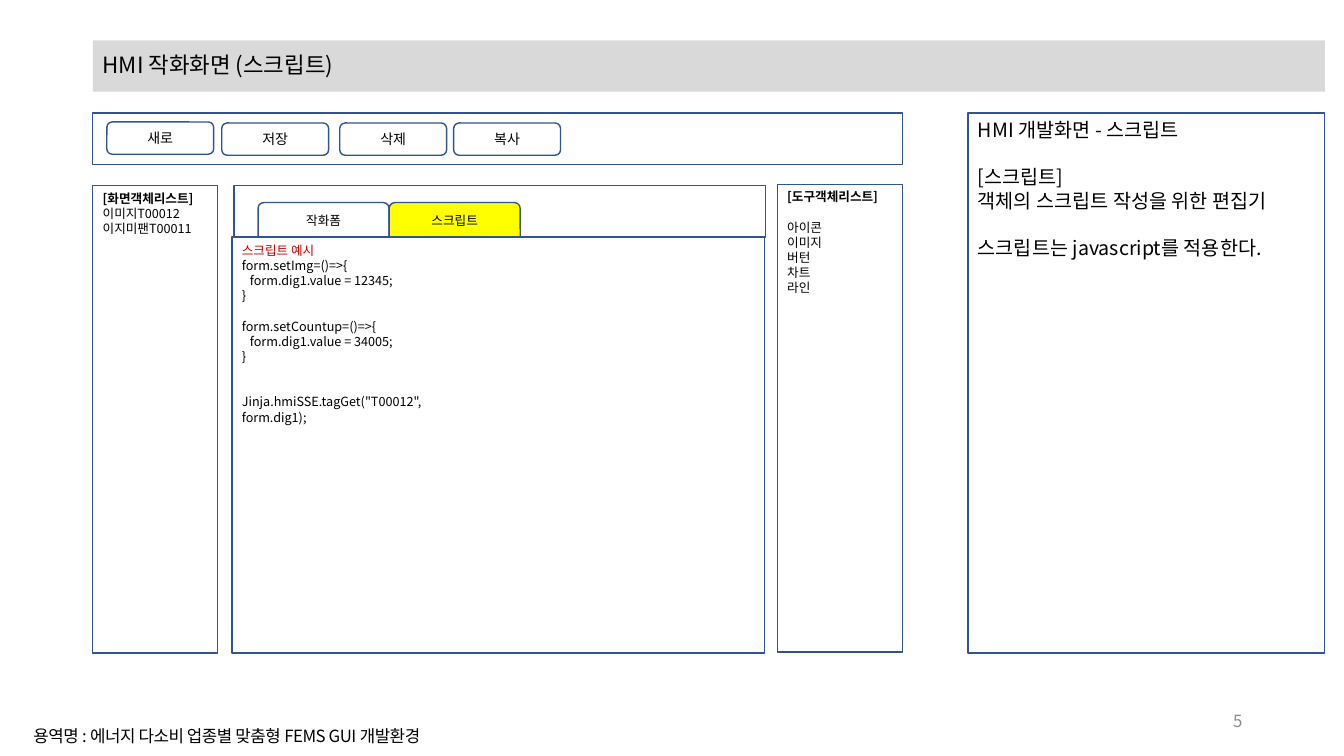
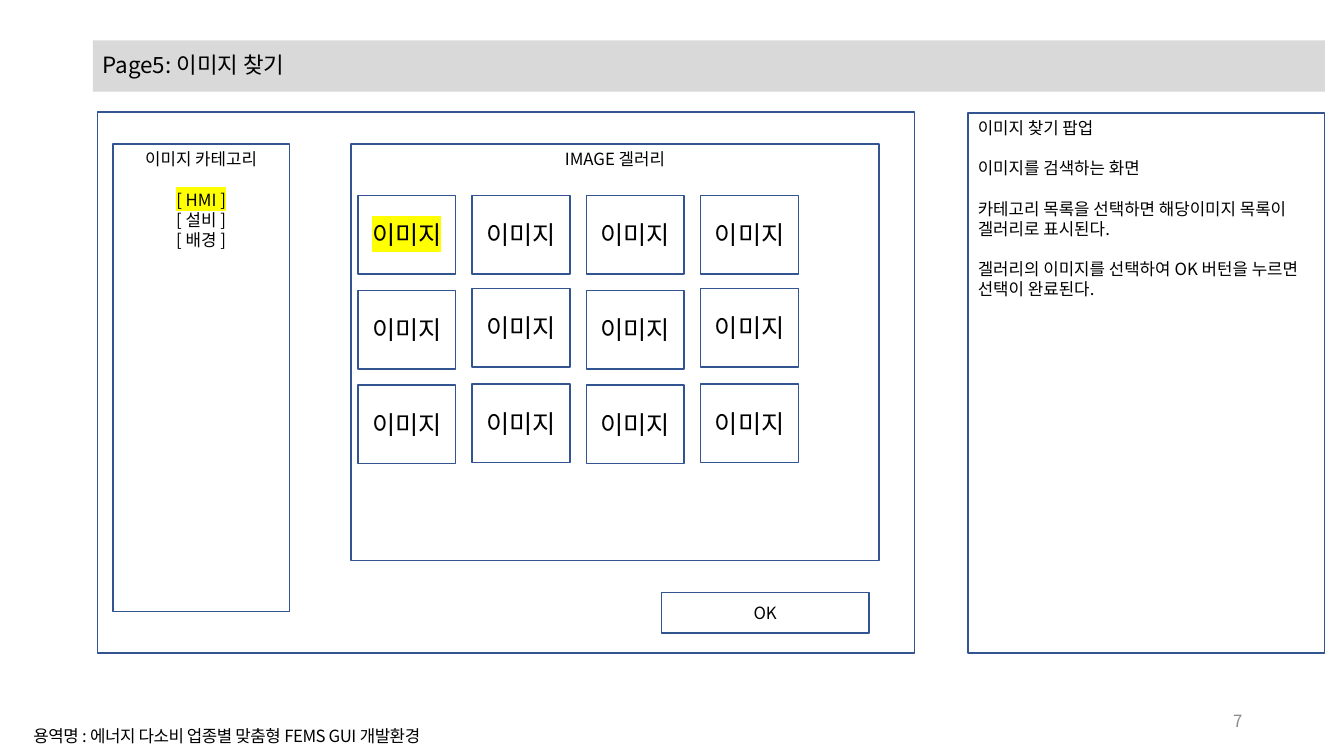
from dataclasses import dataclass
from lxml.etree import SubElement
from pptx import Presentation
from pptx.dml.color import RGBColor
from pptx.enum.shapes import MSO_SHAPE
from pptx.enum.text import MSO_ANCHOR, PP_ALIGN
from pptx.oxml.ns import qn
from pptx.util import Inches, Pt


@dataclass(frozen=True)
class Theme:
    font: str = "Noto Sans CJK KR"
    ink: str = "000000"
    line: str = "325491"
    band: str = "D9D9D9"
    mark: str = "FFFF00"
    muted: str = "8C8C8C"
    accent: str = "C00000"
    title: int = 16
    thumb: int = 18
    note: int = 14
    body: int = 12
    button: int = 10
    small: int = 9


T = Theme()
LEFT, CENTER, RIGHT = PP_ALIGN.LEFT, PP_ALIGN.CENTER, PP_ALIGN.RIGHT
TOP, MIDDLE = MSO_ANCHOR.TOP, MSO_ANCHOR.MIDDLE
RECT, ROUND, TAB = (MSO_SHAPE.RECTANGLE, MSO_SHAPE.ROUNDED_RECTANGLE,
                    MSO_SHAPE.ROUND_2_SAME_RECTANGLE)


def write(sp, lines, size, align=LEFT, anchor=TOP, color=T.ink, spacing=1.0):
    """Each line is a string or (string, options); gap counts blank lines above."""
    tf = sp.text_frame
    tf.word_wrap = True
    tf.vertical_anchor = anchor
    for i, line in enumerate(lines):
        text, opt = (line, {}) if isinstance(line, str) else line
        p = tf.paragraphs[0] if i == 0 else tf.add_paragraph()
        p.alignment = align
        p.line_spacing = spacing
        p.space_before = Pt(1.2 * size * opt.get("gap", 0))
        if "indent" in opt:
            p._p.get_or_add_pPr().set("marL", str(Inches(opt["indent"])))
        r = p.add_run()
        r.text = text
        r.font.size = Pt(size)
        r.font.bold = opt.get("bold", False)
        r.font.color.rgb = RGBColor.from_string(opt.get("color", color))
        rPr = r._r.get_or_add_rPr()
        if "mark" in opt:
            highlight = SubElement(rPr, qn("a:highlight"))
            SubElement(highlight, qn("a:srgbClr")).set("val", opt["mark"])
        if "track" in opt:
            rPr.set("spc", str(opt["track"]))
        r.font.name = T.font
        SubElement(rPr, qn("a:ea")).set("typeface", T.font)


def box(s, at, kind=RECT, fill=None, line=T.line):
    sp = s.shapes.add_shape(kind, *[Inches(v) for v in at])
    sp.shadow.inherit = False
    if fill:
        sp.fill.solid()
        sp.fill.fore_color.rgb = RGBColor.from_string(fill)
    else:
        sp.fill.background()
    if line:
        sp.line.color.rgb = RGBColor.from_string(line)
        sp.line.width = Pt(1)
    else:
        sp.line.fill.background()
    return sp


prs = Presentation()
prs.slide_width, prs.slide_height = Inches(13.33), Inches(7.5)

# Shared frame: title band, description panel, page number, footer
pages = [
    ("HMI 작화화면 (스크립트)", "5", T.note, [
        "HMI 개발화면 - 스크립트",
        ("[스크립트]", {"gap": 1}),
        "객체의 스크립트 작성을 위한 편집기",
        ("스크립트는 javascript를 적용한다.", {"gap": 1})]),
    ("Page5: 이미지 찾기", "7", T.body, [
        "이미지 찾기 팝업",
        ("이미지를 검색하는 화면", {"gap": 1}),
        ("카테고리 목록을 선택하면 해당이미지 목록이 겔러리로 표시된다.", {"gap": 1}),
        ("겔러리의 이미지를 선택하여 OK 버턴을 누르면 선택이 완료된다.", {"gap": 1})]),
]
slides = []
for title, number, size, notes in pages:
    s = prs.slides.add_slide(prs.slide_layouts[6])
    slides.append(s)
    write(box(s, (0.92, 0.4, 12.22, 0.51), fill=T.band, line=None),
          [title], T.title, anchor=MIDDLE, spacing=0.9)
    write(box(s, (9.6, 1.12, 3.54, 5.36)), notes, size)
    sp = s.shapes.add_textbox(Inches(9.42), Inches(6.95), Inches(3), Inches(0.4))
    write(sp, [number], T.body, RIGHT, MIDDLE, T.muted)
    sp = s.shapes.add_textbox(Inches(0), Inches(7.1), Inches(4.5), Inches(0.4))
    write(sp, [("용역명 : 에너지 다소비 업종별 맞춤형 FEMS GUI 개발환경", {"track": -30})],
          T.body, CENTER, MIDDLE)
editor, finder = slides

# Editor: toolbar
box(editor, (0.92, 1.12, 8.03, 0.51))
for label, x, y in [("새로", 1.06, 1.21), ("저장", 2.2, 1.22),
                    ("삭제", 3.37, 1.22), ("복사", 4.5, 1.22)]:
    write(box(editor, (x, y, 1.06, 0.32), ROUND), [label], T.button, CENTER, MIDDLE)

# Editor: tabs
box(editor, (2.32, 1.84, 5.27, 0.51))
for i, (label, fill) in enumerate([("작화폼", None), ("스크립트", T.mark)]):
    write(box(editor, (2.56 + 1.3 * i, 2.01, 1.3, 0.34), TAB, fill),
          [label], T.small, CENTER, MIDDLE)

# Editor: object lists on both sides
write(box(editor, (0.92, 1.84, 1.24, 4.64)),
      [("[화면객체리스트]", {"bold": True}), "이미지T00012", "이지미팬T00011"], T.small)
write(box(editor, (7.71, 1.83, 1.24, 4.64)),
      [("[도구객체리스트]", {"bold": True}), ("아이콘", {"gap": 1}),
       "이미지", "버턴", "차트", "라인"], T.small)

# Editor: script area
box(editor, (2.3, 2.35, 5.28, 4.13))
code = editor.shapes.add_textbox(Inches(2.3), Inches(2.36), Inches(2.55), Inches(1.92))
write(code, [
    ("스크립트 예시", {"color": T.accent}),
    "form.setImg=()=>{",
    ("form.dig1.value = 12345;", {"indent": 0.08}),
    "}",
    ("form.setCountup=()=>{", {"gap": 1}),
    ("form.dig1.value = 34005;", {"indent": 0.08}),
    "}",
    ('Jinja.hmiSSE.tagGet("T00012", form.dig1);', {"gap": 2}),
], T.small)

# Finder: popup, category list, gallery, button
box(finder, (0.97, 1.11, 8.1, 5.37))
write(box(finder, (1.12, 1.43, 1.75, 4.64)),
      ["이미지 카테고리", ("[ HMI ]", {"gap": 1, "mark": T.mark}), "[ 설비 ]", "[ 배경 ]"],
      T.body, CENTER)
write(box(finder, (3.48, 1.43, 5.24, 4.13)), ["IMAGE 겔러리"], T.body, CENTER)
write(box(finder, (6.56, 5.88, 2.06, 0.4)), ["OK"], T.body, CENTER, MIDDLE)

# Finder: thumbnails, with every second column set slightly higher
row_tops = [(1.94, 2.88, 3.82), (1.94, 2.86, 3.81)]
for col in range(4):
    for row, y in enumerate(row_tops[col % 2]):
        opt = {"mark": T.mark} if row == col == 0 else {}
        write(box(finder, (3.55 + col * 3.4 / 3, y, 0.97, 0.78)),
              [("이미지", opt)], T.thumb, CENTER, MIDDLE)

prs.save("out.pptx")
